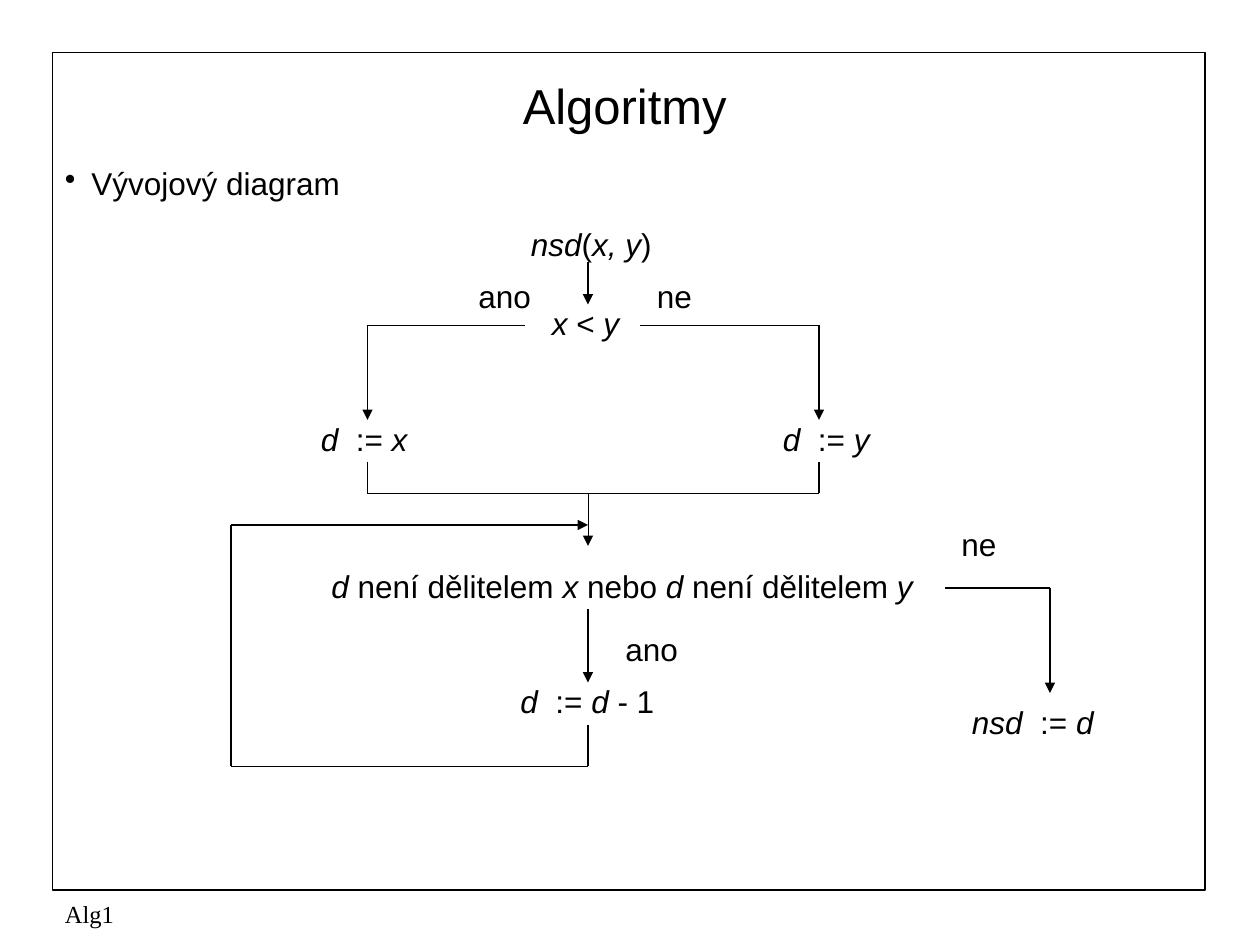
from itertools import cycle, pairwise

from lxml import etree
from pptx import Presentation, util as u
from pptx.dml.color import RGBColor
from pptx.enum import shapes, text
from pptx.oxml.ns import qn

BLACK = RGBColor(0, 0, 0)
SANS, SERIF = "Arial", "Times New Roman"
CELLS_PER_INCH = 12
LABEL_HEIGHT = 3.6
LABEL_MARGINS = (0.13, 0, 0.02, 0)
BOX_MARGINS = (0.1, 0.05, 0.1, 0.05)

FRAME = (5, 5, 109.8, 79.8)
TITLE = ("Algoritmy", (6, 6, 107, 8))
BULLET = ("Vývojový diagram", (5, 15, 110, 70))
FOOTER = ("Alg1", (5, 85, 38, 4))

# Each step: left, top, width, then runs alternating italic and upright.
STEPS = [
    (49, 21.4, 16, ("nsd", "(", "x, y", ")")),
    (51, 29, 11, ("x ", "< ", "y")),
    (29, 40, 13, ("d  ", ":= ", "x")),
    (73, 40, 15, ("d  ", ":= ", "y")),
    (30, 54, 62, ("d ", "není dělitelem ", "x ", "nebo ", "d", " není dělitelem ", "y")),
    (48, 65, 17, ("d ", " := ", "d ", "- 1")),
    (91, 67, 18, ("nsd ", " := ", "d")),
]
ANSWERS = [
    (44, 26.4, 9, "ano"),
    (61, 26.4, 9, "ne"),
    (90, 50, 12, "ne"),
    (58, 60, 26, "ano"),
]

LEFT, CENTRE, RIGHT, LOOP, EXIT = 35, 56, 78, 22, 100
ARROWS = [
    (0.75, [(CENTRE, 25), (CENTRE, 29)]),
    (0.75, [(50, 31), (LEFT, 31), (LEFT, 40)]),
    (0.75, [(61, 31), (RIGHT, 31), (RIGHT, 40)]),
    (0.25, [(CENTRE, 47), (CENTRE, 52)]),
    (0.75, [(CENTRE, 58), (CENTRE, 65)]),
    (0.75, [(CENTRE, 69), (CENTRE, 73), (LOOP, 73), (LOOP, 50), (CENTRE, 50)]),
    (0.75, [(90, 56), (EXIT, 56), (EXIT, 66)]),
]
MERGE = (0.75, [(LEFT, 44), (LEFT, 47), (RIGHT, 47), (RIGHT, 44)])


def grid(*cells):
    return [u.Inches(cell / CELLS_PER_INCH) for cell in cells]


def add_text(slide, place, runs, size=18, font=SANS, margins=LABEL_MARGINS,
             anchor=text.MSO_ANCHOR.BOTTOM, align=text.PP_ALIGN.LEFT, bullet=False):
    frame = slide.shapes.add_textbox(*grid(*place)).text_frame
    frame.word_wrap = True
    frame.vertical_anchor = anchor
    (frame.margin_left, frame.margin_top,
     frame.margin_right, frame.margin_bottom) = map(u.Inches, margins)
    paragraph = frame.paragraphs[0]
    paragraph.alignment = align
    if bullet:
        properties = paragraph._p.get_or_add_pPr()
        properties.set("marL", str(u.Inches(0.21)))
        properties.set("indent", str(u.Inches(-0.21)))
        etree.SubElement(properties, qn("a:buChar"), char="•")
    for content, italic in runs:
        run = paragraph.add_run()
        run.text = content
        run.font.name, run.font.size, run.font.italic = font, u.Pt(size), italic
        run.font.color.rgb = BLACK


def add_route(slide, weight, points, arrow):
    for start, end in pairwise(points):
        connector = slide.shapes.add_connector(
            shapes.MSO_CONNECTOR.STRAIGHT, *grid(*start, *end))
        connector.line.color.rgb = BLACK
        connector.line.width = u.Pt(weight)
        if arrow and end == points[-1]:
            etree.SubElement(connector.line._get_or_add_ln(), qn("a:tailEnd"), type="triangle")
        etree.SubElement(connector._element.spPr, qn("a:effectLst"))


def main():
    presentation = Presentation()
    presentation.slide_width, presentation.slide_height = u.Inches(10), u.Inches(7.5)
    slide = presentation.slides.add_slide(presentation.slide_layouts[6])

    border = slide.shapes.add_shape(shapes.MSO_SHAPE.RECTANGLE, *grid(*FRAME))
    border.shadow.inherit = False
    border.fill.background()
    border.line.color.rgb = BLACK
    border.line.width = u.Pt(1)

    for (content, place), options in (
        (TITLE, dict(size=28, anchor=text.MSO_ANCHOR.MIDDLE, align=text.PP_ALIGN.CENTER)),
        (BULLET, dict(anchor=text.MSO_ANCHOR.TOP, bullet=True)),
        (FOOTER, dict(size=14, font=SERIF, anchor=text.MSO_ANCHOR.MIDDLE)),
    ):
        add_text(slide, place, [(content, False)], margins=BOX_MARGINS, **options)

    for left, top, width, parts in STEPS:
        add_text(slide, (left, top, width, LABEL_HEIGHT), zip(parts, cycle((True, False))))
    for left, top, width, answer in ANSWERS:
        add_text(slide, (left, top, width, LABEL_HEIGHT), [(answer, False)])

    add_route(slide, *MERGE, arrow=False)
    for weight, points in ARROWS:
        add_route(slide, weight, points, arrow=True)

    presentation.save("out.pptx")


if __name__ == "__main__":
    main()
